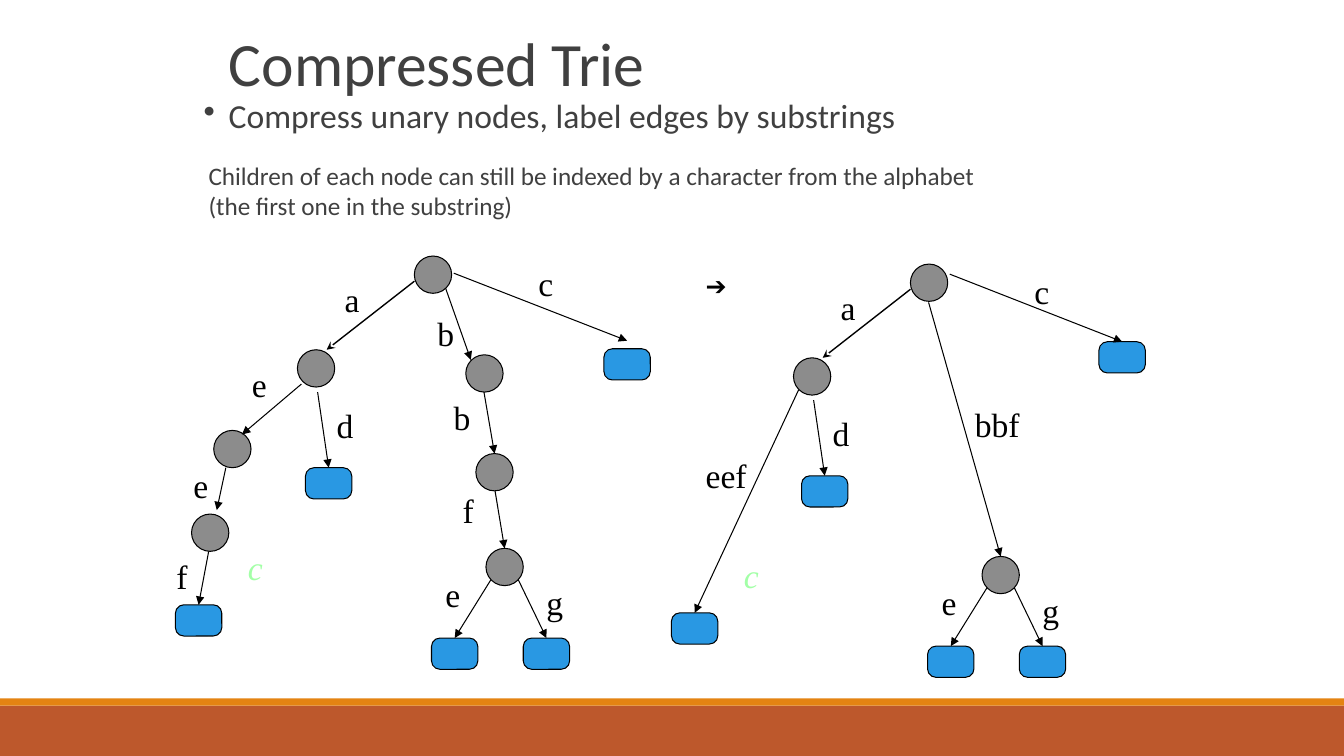
from dataclasses import dataclass

from lxml import etree
from pptx import Presentation
from pptx.dml.color import RGBColor
from pptx.enum.shapes import MSO_CONNECTOR, MSO_SHAPE
from pptx.oxml.ns import qn
from pptx.util import Inches, Pt

OVAL, RECT = MSO_SHAPE.OVAL, MSO_SHAPE.RECTANGLE
ROUNDED, STRAIGHT = MSO_SHAPE.ROUNDED_RECTANGLE, MSO_CONNECTOR.STRAIGHT
TOP_SITE = 0
SLIDE_W, SLIDE_H = 13.33, 7.5
CELL = 0.1  # inches per column and row of a trie's grid


@dataclass(frozen=True)
class Theme:
    text: str = "404040"
    ink: str = "000000"
    ghost: str = "A3FFA7"
    node: str = "8C8C8C"
    leaf: str = "2998E3"
    band: str = "BD582C"
    stripe: str = "E48312"
    sans: str = "Calibri"
    serif: str = "Times New Roman"
    symbol: str = "Arial"
    title_size: int = 44
    label_size: int = 24
    note_size: int = 18
    outline: float = 0.75


THEME = Theme()

# Positions below are (column, row) on the trie's grid
SHARED_NODES = {"root": (24.6, 0), "a": (13, 9.3), "bbf": (31.7, 29)}
CHAIN_NODES = {"ae": (4.7, 17.3), "aee": (2.5, 25.6),
               "b": (29.7, 9.8), "bb": (30.7, 19.6)}
SHARED_LEAVES = {"ad": (13.8, 21), "aeef": (0.9, 34.6),
                 "bbfe": (26.3, 37.9), "bbfg": (35.4, 37.9)}

# An edge runs from a point to a point, or to the top of a named part
FIRST_EDGE = ((24.6, 2.5), (15.9, 9.3))
SHARED_EDGES = [((15, 13.5), "ad"), ((32.2, 32.1), "bbfe"),
                ((34.9, 32.1), "bbfg")]
CHAIN_EDGES = [((13.4, 12.7), (7.5, 17.7)), ((5.9, 21), (5, 25.2)),
               ((4.2, 29.3), "aeef"), ((27.7, 3.2), (30.2, 10.3)),
               ((31.5, 13.5), "bb"), ((32.6, 23.3), "bbf"),
               ((28.5, 1.7), (45.7, 8.4))]
COMPRESSED_EDGES = [((13.5, 12.5), "aeef"), ((26.4, 3.8), "bbf"),
                    ((28.5, 1.0), "c")]

GHOST_LABEL = ("c", 7.1, 28.4)
SHARED_LABELS = [("a", 16.7, 1.8), ("c", 35.9, 0.2), ("d", 15.9, 14.3),
                 ("e", 26.7, 31), ("g", 36.7, 31.8)]
CHAIN_LABELS = [("e", 7.5, 10.2), ("e", 1.7, 20.2), ("f", 0, 29.3),
                ("b", 25.9, 5.2), ("b", 27.5, 13.5), ("f", 28.4, 22.7)]
COMPRESSED_LABELS = [("eef", 3.3, 18.4), ("bbf", 30, 13.4)]


def rgb(color):
    return RGBColor.from_string(color)


def add_text(slide, box, lines, font_name, size, color, italic=False):
    frame = slide.shapes.add_textbox(*map(Inches, box)).text_frame
    frame.word_wrap = True
    frame.text = "\n".join(lines)
    for paragraph in frame.paragraphs:
        font = paragraph.font
        font.name, font.size, font.italic = font_name, Pt(size), italic
        font.color.rgb = rgb(color)
    return frame.paragraphs[0]


def add_block(slide, preset, box, fill, outline=None):
    block = slide.shapes.add_shape(preset, *map(Inches, box))
    block.shadow.inherit = False
    block.fill.solid()
    block.fill.fore_color.rgb = rgb(fill)
    if outline:
        block.line.color.rgb = rgb(outline)
        block.line.width = Pt(THEME.outline)
    else:
        block.line.fill.background()
    return block


def add_arrow(slide, start, end, target=None, head="triangle",
              width=THEME.outline):
    arrow = slide.shapes.add_connector(STRAIGHT, *map(Inches, start + end))
    if target is not None:
        arrow.end_connect(target, TOP_SITE)
    arrow.line.color.rgb = rgb(THEME.ink)
    arrow.line.width = Pt(width)
    etree.SubElement(arrow.line._get_or_add_ln(), qn("a:tailEnd"), type=head)
    etree.SubElement(arrow._element.spPr, qn("a:effectLst"))


def draw_footer(slide, top, stripe_height):
    band_top = top + stripe_height
    add_block(slide, RECT, (0, band_top, SLIDE_W, SLIDE_H - band_top),
              THEME.band)
    add_block(slide, RECT, (0, top, SLIDE_W, stripe_height), THEME.stripe)


def draw_heading(slide, left, top):
    add_text(slide, (left + 0.75, top, 8.62, 0.8), ["Compressed Trie"],
             THEME.sans, THEME.title_size, THEME.text).line_spacing = 0.9
    point = add_text(slide, (left, top + 0.66, 9.38, 0.6),
                     ["Compress unary nodes, label edges by substrings"],
                     THEME.sans, THEME.label_size, THEME.text)
    point.line_spacing = 0.9
    properties = point._p.get_or_add_pPr()
    properties.set("marL", str(Inches(0.75)))
    properties.set("indent", str(Inches(-0.25)))
    etree.SubElement(properties, qn("a:buChar"), char="•")
    # The bullet has to come before the default run properties
    properties.append(properties.find(qn("a:defRPr")))
    add_text(slide, (left + 0.55, top + 1.26, 7.96, 0.71),
             ["Children of each node can still be indexed by a character "
              "from the alphabet", "(the first one in the substring)"],
             THEME.sans, THEME.note_size, THEME.text)


def draw_trie(slide, left, top, nodes, leaves, edges, labels):
    def place(point):
        column, row = point
        return left + column * CELL, top + row * CELL

    # Nodes and leaves
    parts = {}
    for name, point in (SHARED_NODES | nodes).items():
        parts[name] = add_block(slide, OVAL, (*place(point), 0.37, 0.37),
                                THEME.node, THEME.ink)
    for name, point in (SHARED_LEAVES | leaves).items():
        parts[name] = add_block(slide, ROUNDED, (*place(point), 0.46, 0.31),
                                THEME.leaf, THEME.ink)
        parts[name].adjustments[0] = 0.27

    # Edges
    add_arrow(slide, *map(place, FIRST_EDGE), head="stealth", width=1)
    for start, end in SHARED_EDGES + edges:
        begin = place(start)
        if end in parts:
            add_arrow(slide, begin, begin, parts[end])
        else:
            add_arrow(slide, begin, place(end))

    # Edge labels
    for label, *point in SHARED_LABELS + labels + [GHOST_LABEL]:
        ghost = point == list(GHOST_LABEL[1:])
        add_text(slide, (*place(point), 0.75, 0.5), [label], THEME.serif,
                 THEME.label_size, THEME.ghost if ghost else THEME.ink, ghost)


def main():
    deck = Presentation()
    deck.slide_width, deck.slide_height = Inches(SLIDE_W), Inches(SLIDE_H)
    slide = deck.slides.add_slide(deck.slide_layouts[6])
    draw_footer(slide, 6.93, 0.07)
    draw_heading(slide, 1.42, 0.28)
    draw_trie(slide, 1.65, 2.54, CHAIN_NODES, {"c": (43.4, 9.2)},
              CHAIN_EDGES, CHAIN_LABELS)
    add_text(slide, (6.9, 2.63, 1, 0.4), ["➔"], THEME.symbol,
             THEME.note_size, THEME.ink)
    draw_trie(slide, 6.57, 2.62, {}, {"c": (43.3, 7.7)},
              COMPRESSED_EDGES, COMPRESSED_LABELS)
    deck.save("out.pptx")


if __name__ == "__main__":
    main()
